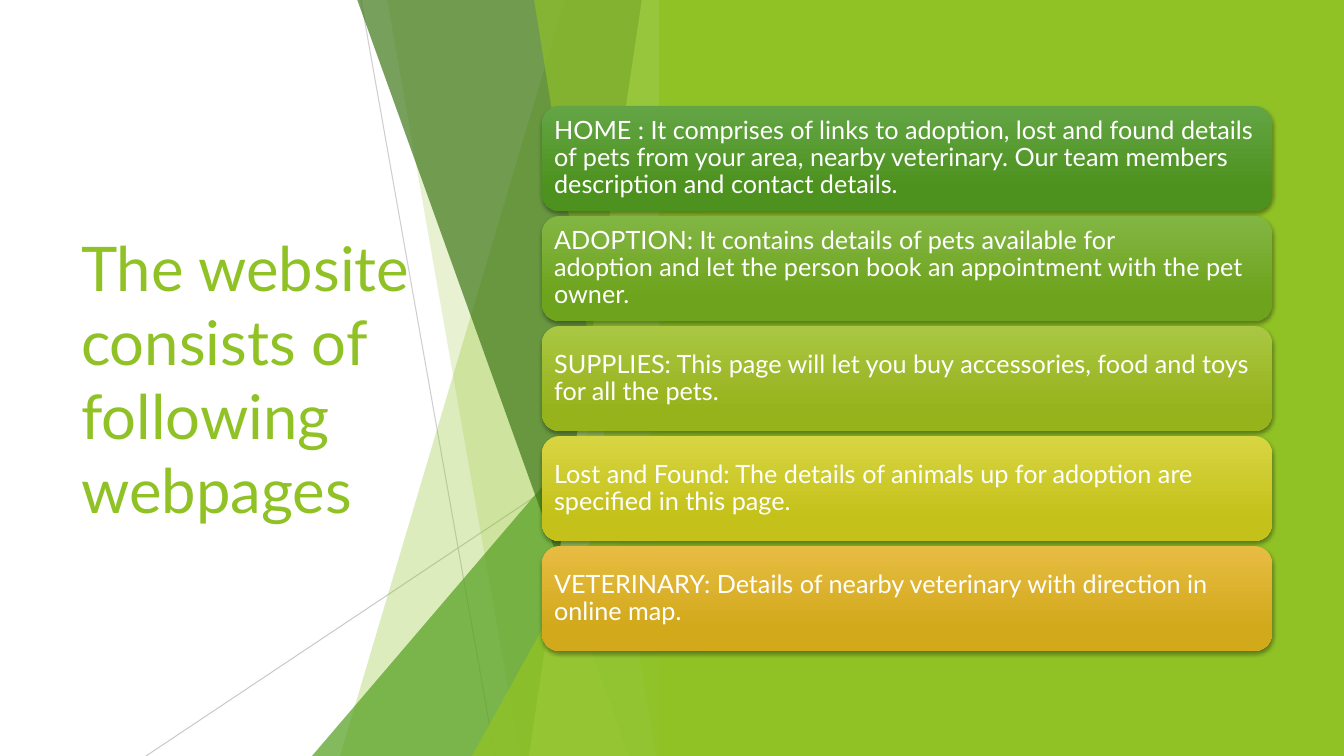
from dataclasses import dataclass

from lxml.etree import SubElement
from pptx import Presentation
from pptx.dml.color import RGBColor
from pptx.enum.shapes import MSO_CONNECTOR, MSO_SHAPE
from pptx.enum.text import MSO_ANCHOR, PP_ALIGN
from pptx.oxml.ns import qn
from pptx.shapes.autoshape import Shape
from pptx.shapes.shapetree import SlideShapes
from pptx.util import Emu, Pt

EMU_PER_PX = 914400 / 100.8
SLIDE_W, SLIDE_H = 1344, 756
FONT = "Lato"
TIE, HARD_SPACE = "~", chr(160)
COLORS = {
    "lime": "90C226",
    "green": "54A021",
    "forest": "3F7819",
    "pale": "C0E474",
    "hairline": "BFBFBF",
    "white": "FFFFFF",
    "shadow": "000000",
}
RIBBON_TOP, RIBBON_RIGHT = -1, 671
CARD_LEFT, CARD_TOP, CARD_W, CARD_H, CARD_PITCH = 542, 106, 730, 105, 110
CARD_INSET = 7


def px(length: int) -> Emu:
    return Emu(round(length * EMU_PER_PX))


def rgb(name: str) -> RGBColor:
    return RGBColor.from_string(COLORS[name])


def set_alpha(properties, percent: int) -> None:
    color = next(properties.iter(qn("a:srgbClr")))
    SubElement(color, qn("a:alpha"), val=str(percent * 1000))


def paint(shape: Shape, color: str, alpha: int = 100) -> None:
    shape.shadow.inherit = False
    shape.line.fill.background()
    shape.fill.solid()
    shape.fill.fore_color.rgb = rgb(color)
    if alpha < 100:
        set_alpha(shape._element.spPr, alpha)


@dataclass(frozen=True)
class Hairline:
    start: tuple[int, int]
    end: tuple[int, int]
    alpha: int

    def draw(self, shapes: SlideShapes) -> None:
        hairline = shapes.add_connector(
            MSO_CONNECTOR.STRAIGHT, *map(px, self.start + self.end))
        hairline.line.width = Pt(0.75)
        hairline.line.color.rgb = rgb("hairline")
        properties = hairline._element.spPr
        set_alpha(properties, self.alpha)
        SubElement(properties, qn("a:effectLst"))


@dataclass(frozen=True)
class Ribbon:
    top_left: int
    bottom_left: int
    color: str
    alpha: int

    def draw(self, shapes: SlideShapes) -> None:
        outline = shapes.build_freeform(self.top_left, RIBBON_TOP, EMU_PER_PX)
        outline.add_line_segments([
            (RIBBON_RIGHT, RIBBON_TOP),
            (RIBBON_RIGHT, SLIDE_H),
            (self.bottom_left, SLIDE_H),
        ])
        paint(outline.convert_to_shape(), self.color, self.alpha)


@dataclass(frozen=True)
class Peak:
    left: int
    top: int
    color: str
    alpha: int

    def draw(self, shapes: SlideShapes) -> None:
        peak = shapes.add_shape(
            MSO_SHAPE.ISOSCELES_TRIANGLE, px(self.left), px(self.top),
            px(RIBBON_RIGHT - self.left), px(SLIDE_H - self.top))
        peak.adjustments[0] = 1
        paint(peak, self.color, self.alpha)


@dataclass(frozen=True)
class Webpage:
    text: str
    light: str
    dark: str


FACETS = [
    Hairline((361, 0), (495, 756), 75),
    Hairline((671, 406), (146, 756), 80),
    Ribbon(565, 340, "lime", 30),
    Ribbon(387, 520, "lime", 20),
    Peak(312, 336, "green", 72),
    Ribbon(357, 629, "forest", 70),
    Ribbon(642, 529, "pale", 70),
    Ribbon(534, 656, "lime", 65),
    Peak(472, 396, "lime", 80),
]
WEBPAGES = [
    Webpage("HOME : It comprises of links to adoption, lost and found details of pets "
            "from your area, nearby veterinary. Our team members description and "
            "contact details.", "63A545", "4D921E"),
    Webpage("ADOPTION: It~contains details of pets available for adoption~and let "
            "the~person book an appointment with the pet owner.", "82B644", "6EA31D"),
    Webpage("SUPPLIES: This page will let you buy~accessories, food and toys for all "
            "the pets.", "AAC744", "97B31C"),
    Webpage("Lost and Found: The details~of~animals up for adoption~are "
            "specified~in this page.", "D8D543", "C4C11A"),
    Webpage("VETERINARY: Details of nearby veterinary~with direction in online map.",
            "E7BC43", "D2A91B"),
]


def add_card_shadow(card: Shape) -> None:
    card.shadow.inherit = False
    effects = card._element.spPr.find(qn("a:effectLst"))
    shadow = SubElement(effects, qn("a:outerShdw"), blurRad=str(Pt(3)),
                        dist=str(Pt(2)), dir="5400000", rotWithShape="0")
    SubElement(shadow, qn("a:srgbClr"), val=COLORS["shadow"])
    set_alpha(shadow, 35)


def write(shape: Shape, text: str, size: int, color: str) -> None:
    frame = shape.text_frame
    frame.text = text.replace(TIE, HARD_SPACE)
    frame.word_wrap = True
    frame.vertical_anchor = MSO_ANCHOR.MIDDLE
    paragraph = frame.paragraphs[0]
    paragraph.alignment = PP_ALIGN.LEFT
    font = paragraph.runs[0].font
    font.name, font.size = FONT, Pt(size)
    font.color.rgb = rgb(color)


def add_card(shapes: SlideShapes, webpage: Webpage, top: int) -> None:
    card = shapes.add_shape(MSO_SHAPE.ROUNDED_RECTANGLE, px(CARD_LEFT), px(top),
                            px(CARD_W), px(CARD_H))
    card.line.fill.background()
    card.fill.gradient()
    card.fill.gradient_angle = 270
    stops = zip(card.fill.gradient_stops, (webpage.light, webpage.dark), (0, 0.78))
    for stop, color, position in stops:
        stop.color.rgb = RGBColor.from_string(color)
        stop.position = position
    add_card_shadow(card)
    write(card, webpage.text, 18, "white")
    frame = card.text_frame
    frame.margin_left = frame.margin_right = px(CARD_INSET)
    frame.margin_top = frame.margin_bottom = px(CARD_INSET)
    frame.paragraphs[0].line_spacing = 0.9


def main() -> None:
    deck = Presentation()
    deck.slide_width, deck.slide_height = px(SLIDE_W), px(SLIDE_H)
    slide = deck.slides.add_slide(deck.slide_layouts.get_by_name("Title Only"))
    shapes = slide.shapes

    title = shapes.title
    title.left, title.top, title.width, title.height = map(px, (71, 152, 391, 452))
    write(title, "The website consists of following webpages", 44, "lime")

    for facet in FACETS:
        facet.draw(shapes)

    panel_left = 659
    panel = shapes.add_shape(MSO_SHAPE.RECTANGLE, px(panel_left), px(0),
                             px(SLIDE_W - panel_left), px(SLIDE_H))
    paint(panel, "lime")

    for row, webpage in enumerate(WEBPAGES):
        add_card(shapes, webpage, CARD_TOP + row * CARD_PITCH)

    deck.save("out.pptx")


if __name__ == "__main__":
    main()
